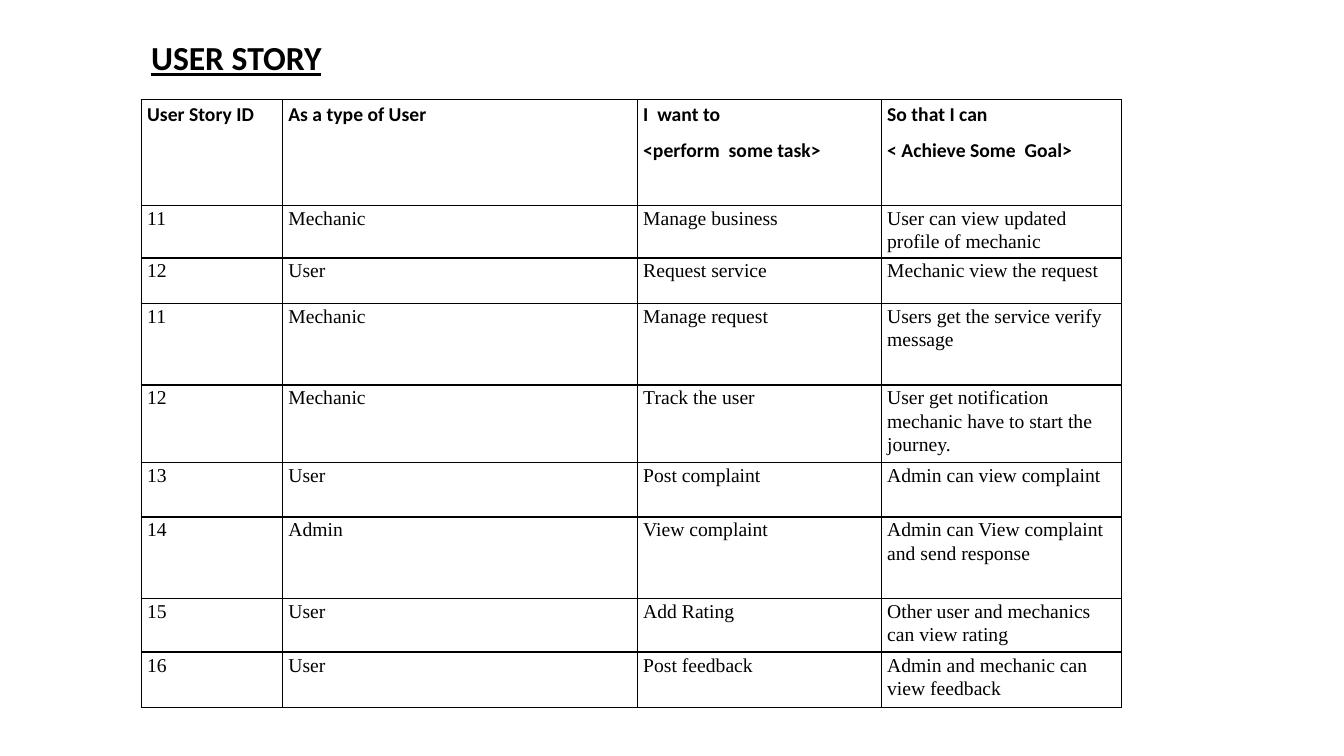
from lxml import etree
from pptx import Presentation
from pptx.dml.color import RGBColor
from pptx.enum.text import MSO_AUTO_SIZE
from pptx.oxml.ns import qn
from pptx.util import Inches, Pt

BLACK = RGBColor(0x00, 0x00, 0x00)
WHITE = RGBColor(0xFF, 0xFF, 0xFF)
HEADING_FONT, BODY_FONT = "Calibri", "Times New Roman"
GROW = MSO_AUTO_SIZE.SHAPE_TO_FIT_TEXT

LEFT, TABLE_TOP = 1.4, 0.99
COLUMN_WIDTHS = [1.4, 3.52, 2.42, 2.38]
ROW_HEIGHTS = [1.05, 0.52, 0.45, 0.81, 0.77, 0.54, 0.81, 0.53, 0.55]
STORIES = [
    ("User Story ID", "As a type of User", "I  want to\n<perform  some task>",
     "So that I can\n< Achieve Some  Goal>"),
    ("11", "Mechanic", "Manage business", "User can view updated profile of mechanic"),
    ("12", "User", "Request service", "Mechanic view the request"),
    ("11", "Mechanic", "Manage request", "Users get the service verify message"),
    ("12", "Mechanic", "Track the user",
     "User get notification mechanic have to start the journey."),
    ("13", "User", "Post complaint", "Admin can view complaint"),
    ("14", "Admin", "View complaint", "Admin can View complaint and send response"),
    ("15", "User", "Add Rating", "Other user and mechanics can view rating"),
    ("16", "User", "Post feedback", "Admin and mechanic can view feedback"),
]


def style_font(font, name, size, bold):
    """Set the typeface, size and weight of black text."""
    font.name, font.size, font.bold = name, Pt(size), bold
    font.color.rgb = BLACK


def add_borders(cell):
    """Draw a thin black line on all four sides of a cell."""
    properties = cell._tc.get_or_add_tcPr()
    for position, side in enumerate(("a:lnL", "a:lnR", "a:lnT", "a:lnB")):
        line = etree.Element(qn(side), w=str(Pt(1)))
        fill = etree.SubElement(line, qn("a:solidFill"))
        etree.SubElement(fill, qn("a:srgbClr"), val=str(BLACK))
        properties.insert(position, line)


deck = Presentation()
deck.slide_width, deck.slide_height = Inches(13.33), Inches(7.5)
page = deck.slides.add_slide(deck.slide_layouts[6])

# Title
title = page.shapes.add_textbox(Inches(LEFT), Inches(0.32), Inches(1.95), Inches(0.5))
title.text_frame.word_wrap = False
title.text_frame.auto_size = GROW
title.text_frame.text = "USER STORY"
title_font = title.text_frame.paragraphs[0].runs[0].font
style_font(title_font, HEADING_FONT, 24, True)
title_font.underline = True

# Story table
table = page.shapes.add_table(
    len(ROW_HEIGHTS), len(COLUMN_WIDTHS), Inches(LEFT), Inches(TABLE_TOP),
    Inches(sum(COLUMN_WIDTHS)), Inches(sum(ROW_HEIGHTS))).table
table.first_row = table.horz_banding = False
for column, width in zip(table.columns, COLUMN_WIDTHS):
    column.width = Inches(width)

for row_number, (row, height, story) in enumerate(zip(table.rows, ROW_HEIGHTS, STORIES)):
    row.height = Inches(height)
    is_header = row_number == 0
    for cell, wording in zip(row.cells, story):
        cell.margin_left = cell.margin_right = Inches(0.06)
        cell.margin_top, cell.margin_bottom = Inches(0.01), 0
        cell.fill.solid()
        cell.fill.fore_color.rgb = WHITE
        add_borders(cell)
        cell.text_frame.text = wording
        for para in cell.text_frame.paragraphs:
            para.line_spacing = 1.07
            para.space_after = Pt(8)
            style_font(para.runs[0].font, HEADING_FONT if is_header else BODY_FONT,
                       14, is_header)

deck.save("out.pptx")
